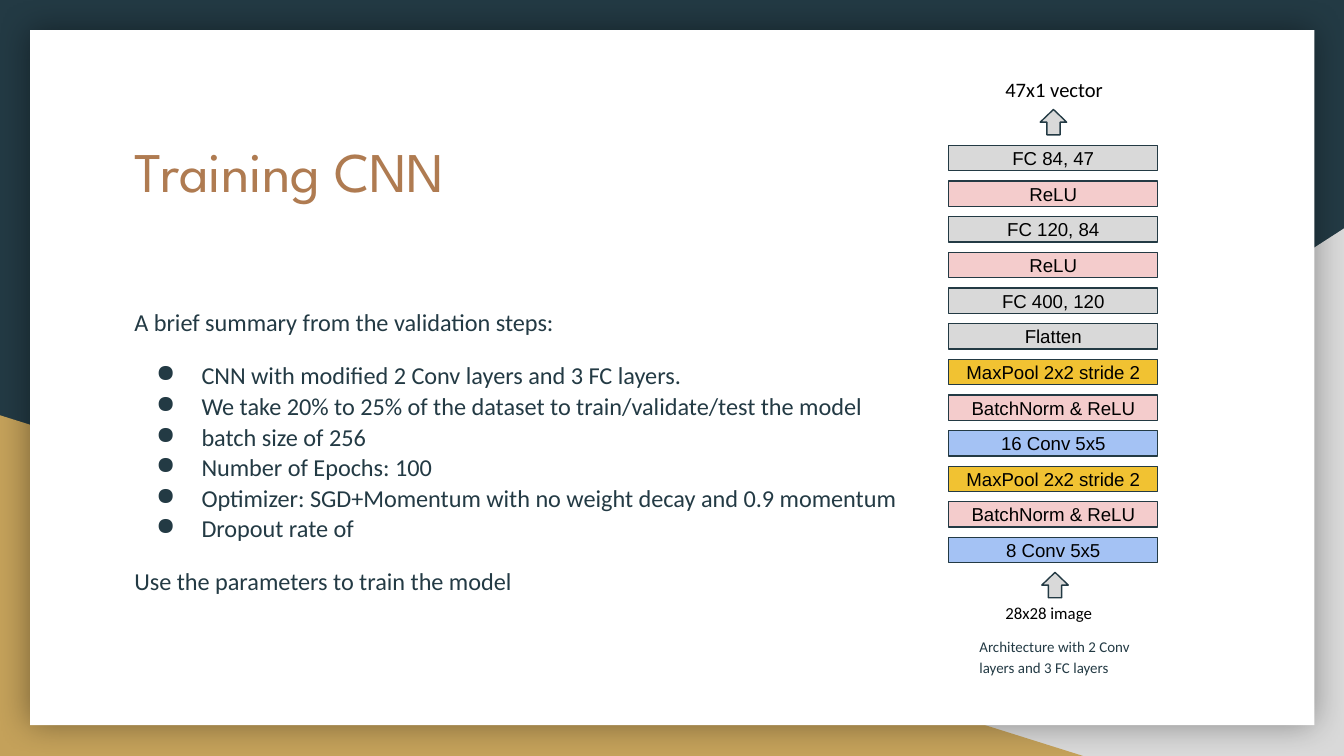
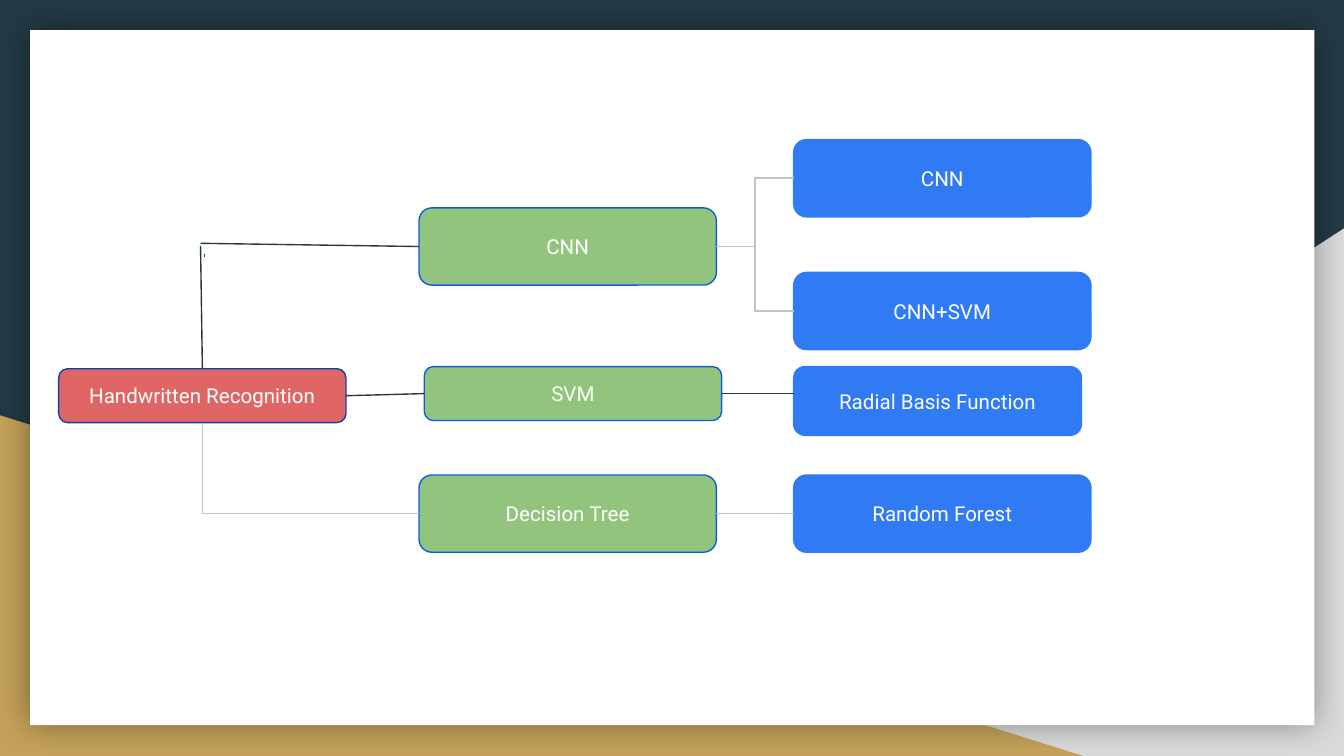
import pptx
import pptx.util
import pptx.dml.color
import pptx.enum.shapes
import pptx.enum.text
import pptx.oxml
import pptx.oxml.ns
import lxml.etree

Cm = pptx.util.Cm
Pt = pptx.util.Pt
RGB = pptx.dml.color.RGBColor.from_string
KIND = pptx.enum.shapes.MSO_SHAPE
WIRE = pptx.enum.shapes.MSO_CONNECTOR
ALIGN = pptx.enum.text.PP_ALIGN
ANCHOR = pptx.enum.text.MSO_ANCHOR
qn = pptx.oxml.ns.qn

HUE = {
    "navy": "233A44", "gray": "D9D9D9", "gold": "C4A15A", "white": "FFFFFF",
    "brown": "AF7B51", "black": "000000", "pink": "F4CCCC", "amber": "F1C232",
    "sky": "A4C2F4", "red": "E06666", "green": "93C47D", "blue": "307BF3",
    "edge": "0D5DDF", "deep": "0944A1", "wire": "C2C2C2",
}


def draw(slide, kind, box, fill, line=None, text="", face="Arial", size=10, ink="black"):
    """Add a flat shape; box is left, top, width, height in cm."""
    shape = slide.shapes.add_shape(kind, *map(Cm, box))
    shape.shadow.inherit = False
    shape.fill.solid()
    shape.fill.fore_color.rgb = RGB(HUE[fill])
    if line:
        shape.line.color.rgb = RGB(HUE[line])
        shape.line.width = Pt(0.75)
    else:
        shape.line.fill.background()
    if text:
        frame = shape.text_frame
        frame.text = text
        frame.vertical_anchor = ANCHOR.MIDDLE
        para = frame.paragraphs[0]
        para.alignment = ALIGN.CENTER
        para.font.name = face
        para.font.size = Pt(size)
        para.font.color.rgb = RGB(HUE[ink])
    return shape


def link(slide, kind, start, end, hue):
    """Join two ends, each a (shape, side) pair or an (x, y) point in cm."""
    wire = slide.shapes.add_connector(kind, 0, 0, 0, 0)
    if isinstance(start[0], (int, float)):
        wire.begin_x, wire.begin_y = map(Cm, start)
    else:
        wire.begin_connect(*start)
    if isinstance(end[0], (int, float)):
        wire.end_x, wire.end_y = map(Cm, end)
    else:
        wire.end_connect(*end)
    wire.line.color.rgb = RGB(HUE[hue])
    wire.line.width = Pt(0.75)
    lxml.etree.SubElement(wire.element.spPr, qn("a:effectLst"))
    return wire


deck = pptx.Presentation()
deck.slide_width, deck.slide_height = Cm(25.4), Cm(14.29)
train = deck.slides.add_slide(deck.slide_layouts[5])
tree = deck.slides.add_slide(deck.slide_layouts[6])

# Shared backdrop, moved to the back of the master
master = deck.slide_master
master.background.fill.solid()
master.background.fill.fore_color.rgb = RGB(HUE["navy"])
slope = draw(train, KIND.RIGHT_TRIANGLE, (9.96, 4.32, 15.44, 9.97), "gray")
slope.element.spPr.xfrm.set("flipH", "1")
wedge = draw(train, KIND.RIGHT_TRIANGLE, (0, 7.85, 20.47, 6.44), "gold")
page = draw(train, KIND.RECTANGLE, (0.57, 0.57, 24.27, 13.14), "white")
glow = page.element.spPr.find(qn("a:effectLst"))
glow.append(pptx.oxml.parse_xml(
    f'<a:outerShdw {pptx.oxml.ns.nsdecls("a")} blurRad="{Pt(18)}" dist="0" algn="ctr" '
    f'rotWithShape="0"><a:srgbClr val="{HUE["black"]}"><a:alpha val="40000"/>'
    '</a:srgbClr></a:outerShdw>'))
for depth, part in enumerate((slope, wedge, page), start=2):
    master.shapes.element.insert(depth, part.element)

# Slide 1: title and summary
title = train.shapes.title
title.left, title.top, title.width, title.height = map(Cm, (2.29, 2.34, 20.85, 2.64))
frame = title.text_frame
frame.text = "Training CNN"
frame.auto_size = pptx.enum.text.MSO_AUTO_SIZE.NONE
frame.vertical_anchor = ANCHOR.TOP
frame.margin_top = frame.margin_bottom = Cm(0.25)
para = frame.paragraphs[0]
para.alignment = ALIGN.LEFT
para.font.name = "League Spartan"
para.font.size = Pt(30)
para.font.color.rgb = RGB(HUE["brown"])

points = [
    "CNN with modified 2 Conv layers and 3 FC layers.",
    "We take 20% to 25% of the dataset to train/validate/test the model",
    "batch size of 256",
    "Number of Epochs: 100",
    "Optimizer: SGD+Momentum with no weight decay and 0.9 momentum",
    "Dropout rate of",
]
lead = "A brief summary from the validation steps:"
close = "Use the parameters to train the model"
texts = [
    ((2.29, 5.54, 20.85, 6.81), [lead, *points, close], 13, "navy", 1.05),
    ((18.26, 11.76, 3.94, 1.24), ["Architecture with 2 Conv layers and 3 FC layers"],
     8, "navy", 1.15),
    ((18.75, 1.22, 3.12, 0.99), ["47x1 vector"], 11, "black", 1.0),
    ((18.75, 11.2, 2.69, 0.89), ["28x28 image"], 9, "black", 1.0),
]
for box, lines, size, ink, space in texts:
    frame = train.shapes.add_textbox(*map(Cm, box)).text_frame
    frame.word_wrap = True
    frame.margin_top = frame.margin_bottom = Cm(0.25)
    for i, line in enumerate(lines):
        para = frame.paragraphs[0] if i == 0 else frame.add_paragraph()
        para.text = line
        para.line_spacing = space
        if line in (points[0], close):
            para.space_before = Pt(12)
        if line in points:
            props = para._p.get_or_add_pPr()
            props.set("marL", str(Cm(1.27)))
            props.set("indent", str(Cm(-0.86)))
            tint = lxml.etree.SubElement(props, qn("a:buClr"))
            lxml.etree.SubElement(tint, qn("a:srgbClr"), val=HUE["navy"])
            lxml.etree.SubElement(props, qn("a:buChar"), char="●")
        para.font.name = "Calibri"
        para.font.size = Pt(size)
        para.font.color.rgb = RGB(HUE[ink])

# Slide 1: layer stack, from output to input
layers = [
    ("FC 84, 47", "gray"), ("ReLU", "pink"), ("FC 120, 84", "gray"),
    ("ReLU", "pink"), ("FC 400, 120", "gray"), ("Flatten", "gray"),
    ("MaxPool 2x2 stride 2", "amber"), ("BatchNorm & ReLU", "pink"),
    ("16 Conv 5x5", "sky"), ("MaxPool 2x2 stride 2", "amber"),
    ("BatchNorm & ReLU", "pink"), ("8 Conv 5x5", "sky"),
]
step = 7.41 / (len(layers) - 1)
for i, (name, fill) in enumerate(layers):
    draw(train, KIND.RECTANGLE, (17.93, 2.75 + i * step, 3.95, 0.48), fill, "navy", name)
for left, top in ((19.66, 2.07), (19.69, 10.82)):
    draw(train, KIND.UP_ARROW, (left, top, 0.5, 0.48), "gray", "navy")

# Slide 2: method tree
cards = {}
for key, text, box, fill, line in [
    ("root", "Handwritten Recognition", (1.11, 6.97, 5.43, 1.02), "red", "deep"),
    ("cnn", "CNN", (7.92, 3.93, 5.62, 1.46), "green", "edge"),
    ("svm", "SVM", (8.02, 6.93, 5.62, 1.02), "green", "edge"),
    ("dec", "Decision Tree", (7.92, 8.98, 5.62, 1.46), "green", "edge"),
    ("net", "CNN", (15, 2.64, 5.62, 1.46), "blue", "blue"),
    ("mix", "CNN+SVM", (15, 5.15, 5.62, 1.46), "blue", "blue"),
    ("rbf", "Radial Basis Function", (15, 6.93, 5.44, 1.3), "blue", "blue"),
    ("wood", "Random Forest", (15, 8.98, 5.62, 1.46), "blue", "blue"),
]:
    cards[key] = draw(tree, KIND.ROUNDED_RECTANGLE, box, fill, line, text,
                      "Roboto", 11, "white")

for start, end in (("cnn", "net"), ("cnn", "mix"), ("dec", "wood")):
    link(tree, WIRE.ELBOW, (cards[start], 3), (cards[end], 1), "wire")

# Single bend: down from the root, then right; the frame is turned by 270 degrees
bend = link(tree, WIRE.ELBOW, (cards["root"], 2), (cards["dec"], 1), "wire")
wide, high = bend.width, bend.height
bend.left += (wide - high) // 2
bend.top += (high - wide) // 2
bend.width, bend.height = high, wide
bend.element.spPr.find(qn("a:prstGeom")).set("prst", "bentConnector2")
turn = bend.element.spPr.find(qn("a:xfrm"))
turn.set("rot", "16200000")
turn.set("flipH", "1")

for start, end in [
    ((cards["root"], 0), (3.79, 4.65)),
    ((3.86, 4.8), (3.86, 4.85)),
    ((cards["cnn"], 1), (3.79, 4.6)),
    ((cards["root"], 3), (cards["svm"], 1)),
    ((cards["svm"], 3), (15, 7.44)),
]:
    link(tree, WIRE.STRAIGHT, start, end, "navy")

deck.save("out.pptx")
